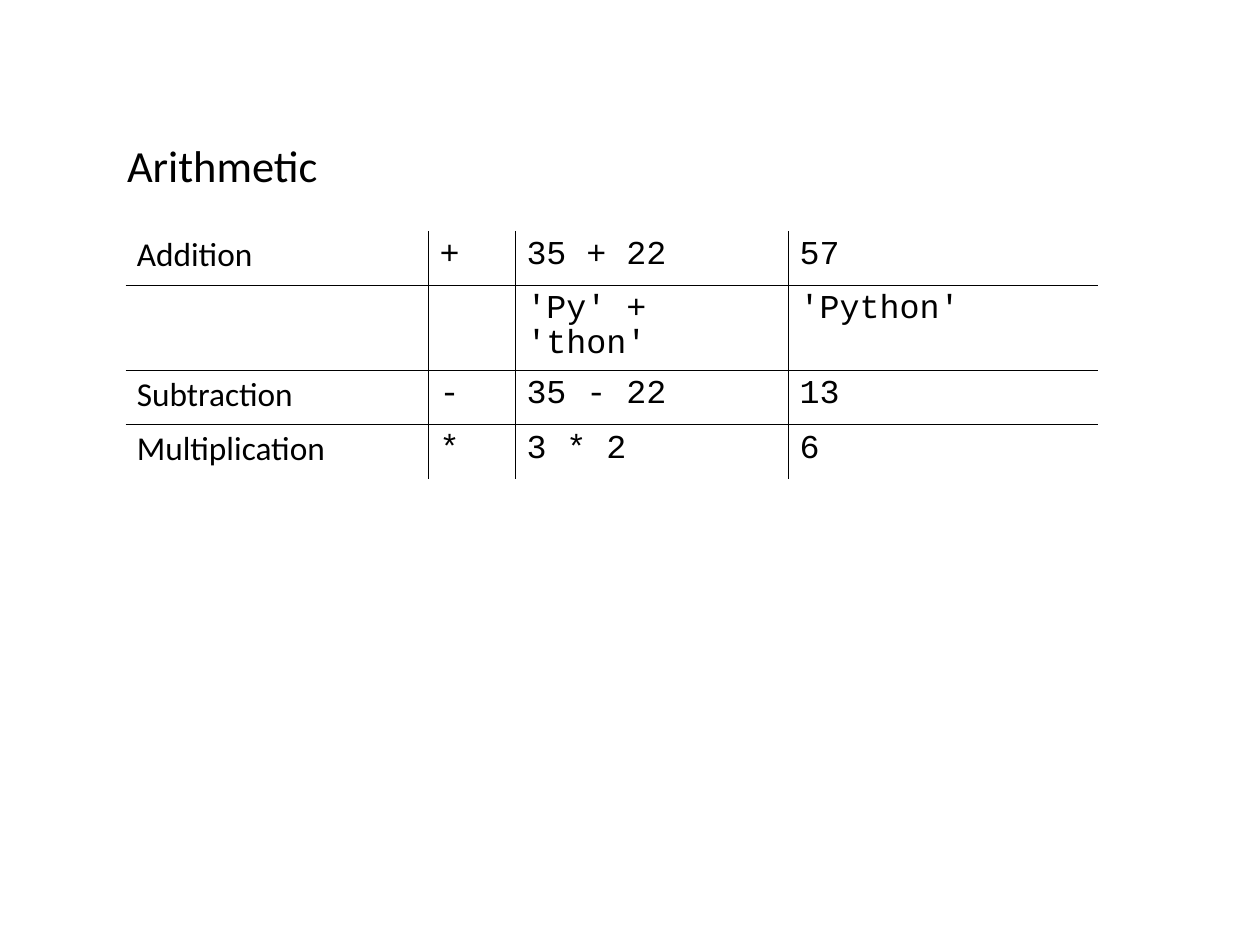
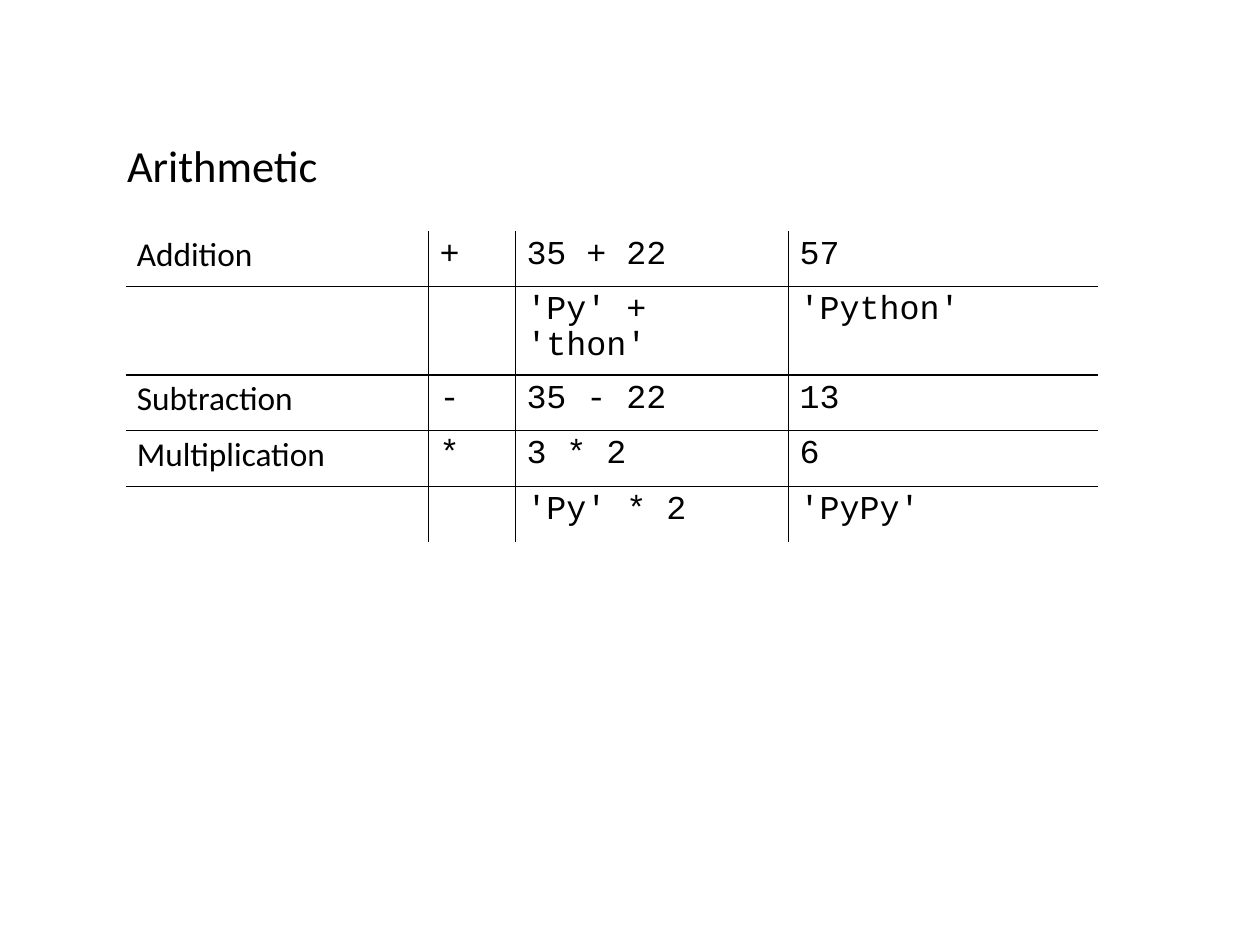
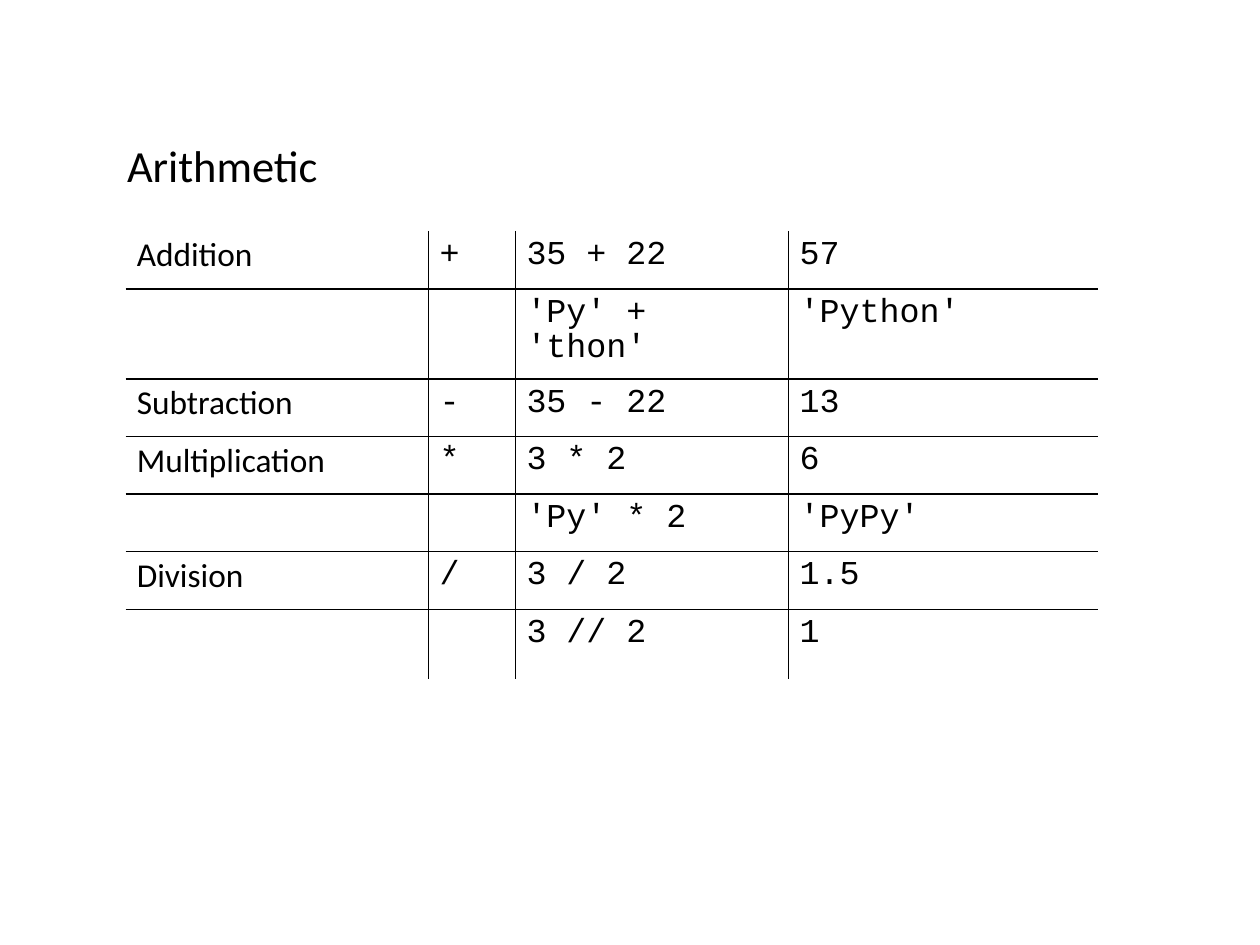
from lxml import etree
from pptx import Presentation
from pptx.dml.color import RGBColor
from pptx.enum.text import MSO_ANCHOR, MSO_AUTO_SIZE, PP_ALIGN
from pptx.oxml.ns import qn
from pptx.util import Cm, Pt

TOP = MSO_ANCHOR.TOP
LEFT = PP_ALIGN.LEFT
NO_FIT = MSO_AUTO_SIZE.NONE
TITLE_ONLY = 5

INK = "000000"
PROSE = "Calibri"
CODE = "Courier New"
TITLE_BOX = (2.57, 2.34, 4.8, 1.85)
TABLE_CORNER = (2.79, 5.13)
COLUMNS = (6.73, 1.93, 6.07, 6.88)

OPERATIONS = [
    ("Addition", "+", "35 + 22", "57"),
    ("", "", "'Py' + 'thon'", "'Python'"),
    ("Subtraction", "-", "35 - 22", "13"),
    ("Multiplication", "*", "3 * 2", "6"),
    ("", "", "'Py' * 2", "'PyPy'"),
    ("Division", "/", "3 / 2", "1.5"),
    ("", "", "3 // 2", "1"),
]
STEPS = [
    (1.21, 1.89, 1.21, 1.21),
    (1.24, 1.96, 1.24, 1.24, 1.24),
    (1.29, 2.0, 1.28, 1.28, 1.28, 1.28, 1.54),
]


def color(value):
    return RGBColor.from_string(value)


def write(paragraph, text, font, size, spacing):
    paragraph.alignment = LEFT
    paragraph.line_spacing = spacing
    run = paragraph.add_run()
    run.text = text
    run.font.name = font
    run.font.size = Pt(size)
    run.font.color.rgb = color(INK)


def add_title(slide, text, box):
    title = slide.shapes.title
    title.left, title.top, title.width, title.height = map(Cm, box)
    frame = title.text_frame
    frame.auto_size = NO_FIT
    frame.word_wrap = False
    frame.vertical_anchor = TOP
    write(frame.paragraphs[0], text, PROSE, 28, 1.5)


def set_borders(cell, visible):
    properties = cell._tc.get_or_add_tcPr()
    for side in "LRTB":
        line = etree.SubElement(properties, qn(f"a:ln{side}"), w=str(Pt(1)))
        if side in visible:
            fill = etree.SubElement(line, qn("a:solidFill"))
            etree.SubElement(fill, qn("a:srgbClr"), val=INK)
        else:
            etree.SubElement(line, qn("a:noFill"))


def inner_sides(row, column, row_count, column_count):
    sides = {
        "L": column > 0,
        "R": column < column_count - 1,
        "T": row > 0,
        "B": row < row_count - 1,
    }
    return [side for side, inner in sides.items() if inner]


def add_operations(slide, operations, heights, corner):
    left, top = corner
    table = slide.shapes.add_table(
        len(operations), len(COLUMNS), Cm(left), Cm(top),
        Cm(sum(COLUMNS)), Cm(sum(heights)),
    ).table
    table.first_row = False
    table.horz_banding = False
    for column, width in zip(table.columns, COLUMNS):
        column.width = Cm(width)
    for row, (operation, height) in enumerate(zip(operations, heights)):
        table.rows[row].height = Cm(height)
        for column, text in enumerate(operation):
            cell = table.cell(row, column)
            cell.margin_left = cell.margin_right = Cm(0.25)
            cell.margin_top = cell.margin_bottom = Cm(0.12)
            cell.vertical_anchor = TOP
            set_borders(cell, inner_sides(row, column, len(operations), len(COLUMNS)))
            cell.fill.background()
            if text:
                font = CODE if column else PROSE
                write(cell.text_frame.paragraphs[0], text, font, 21, 0.93)


def add_arithmetic_slide(deck, heights):
    slide = deck.slides.add_slide(deck.slide_layouts[TITLE_ONLY])
    add_title(slide, "Arithmetic", TITLE_BOX)
    add_operations(slide, OPERATIONS[:len(heights)], heights, TABLE_CORNER)


def main():
    deck = Presentation()
    deck.slide_width = Cm(28)
    deck.slide_height = Cm(21)
    for heights in STEPS:
        add_arithmetic_slide(deck, heights)
    deck.save("out.pptx")


if __name__ == "__main__":
    main()
